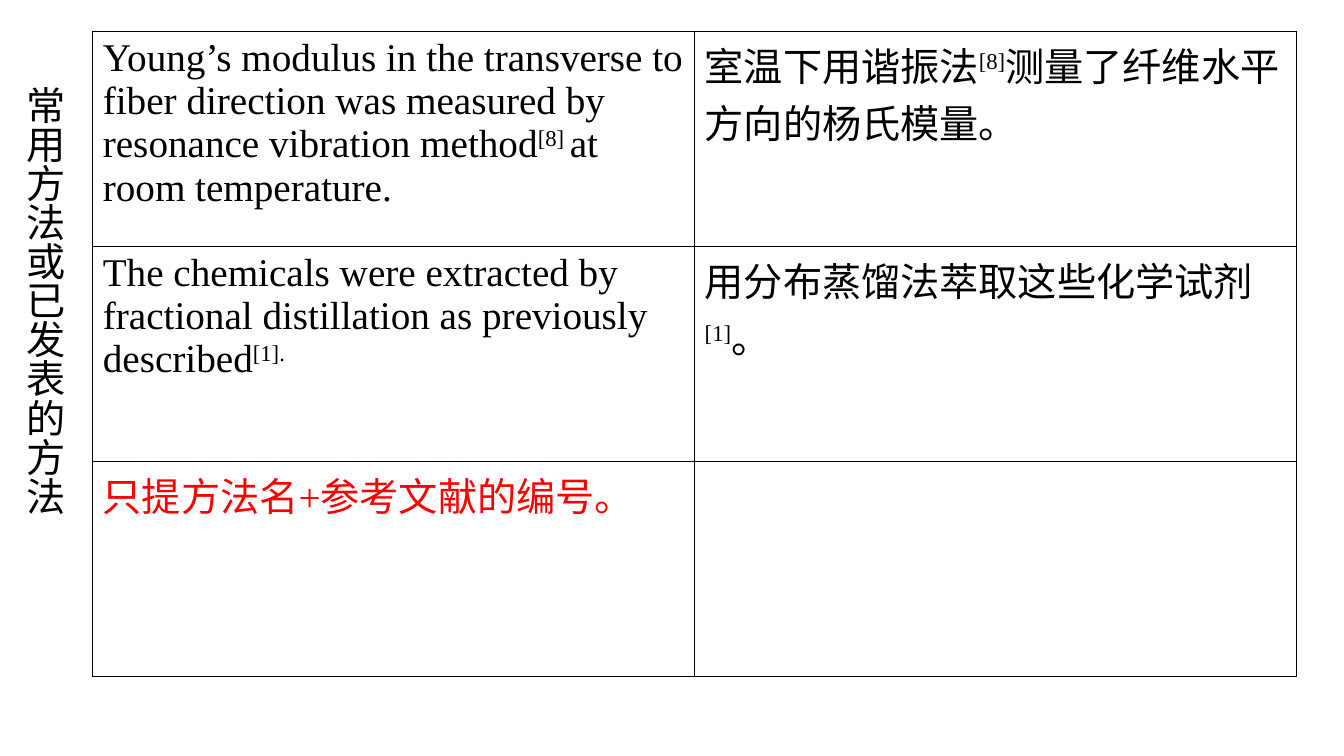
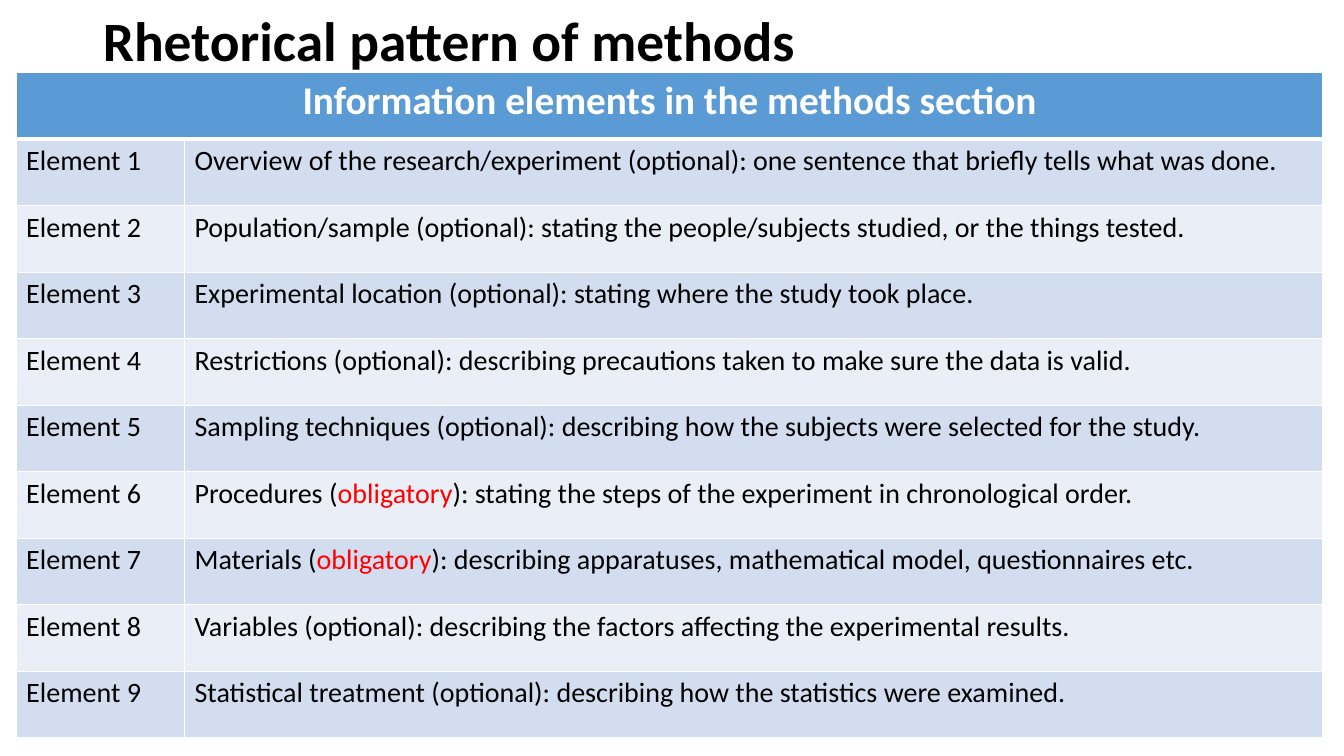
from dataclasses import dataclass

from lxml.etree import SubElement
from pptx import Presentation
from pptx.dml.color import RGBColor
from pptx.enum.text import MSO_ANCHOR as Anchor, PP_ALIGN as Align
from pptx.oxml.ns import qn
from pptx.util import Inches, Pt


@dataclass(frozen=True)
class Theme:
    ink: str = "000000"
    paper: str = "FFFFFF"
    accent: str = "FF0000"
    header: str = "5B9BD5"
    bands: tuple = ("D2DEEF", "EAEFF7")
    sans: str = "Calibri"
    serif: str = "Times New Roman"
    title_size: float = 39.6
    large: int = 28
    body: int = 20


theme = Theme()
SUPERSCRIPT, ACCENT = "superscript", "accent"


def write(paragraph, pieces, name, size, color=theme.ink, bold=False):
    """Fill a paragraph with plain strings and (text, style) pairs."""
    font = paragraph.font
    font.name, font.size, font.bold = name, Pt(size), bold
    font.color.rgb = RGBColor.from_string(color)
    for piece in pieces:
        text, style = (piece, None) if isinstance(piece, str) else piece
        run = paragraph.add_run()
        run.text = text
        if style == SUPERSCRIPT:
            run.font._element.set("baseline", "30000")
        elif style == ACCENT:
            run.font.color.rgb = RGBColor.from_string(theme.accent)


def style_cell(cell, fill, border, bottom=1):
    """Draw four borders (widths in points), then the fill."""
    properties = cell._tc.get_or_add_tcPr()
    for side, width in (("L", 1), ("R", 1), ("T", 1), ("B", bottom)):
        line = SubElement(properties, qn(f"a:ln{side}"), w=str(Pt(width)))
        solid = SubElement(line, qn("a:solidFill"))
        SubElement(solid, qn("a:srgbClr"), val=border)
    cell.fill.solid()
    cell.fill.fore_color.rgb = RGBColor.from_string(fill)


presentation = Presentation()
presentation.slide_width = Inches(13.33)
presentation.slide_height = Inches(7.5)
title_only, blank = presentation.slide_layouts[5], presentation.slide_layouts[6]

# Slide 1: citing established methods
slide = presentation.slides.add_slide(blank)
examples = [
    (["Young’s modulus in the transverse to fiber direction was measured by "
      "resonance vibration method", ("[8] ", SUPERSCRIPT), "at room temperature."],
     ["室温下用谐振法", ("[8]", SUPERSCRIPT), "测量了纤维水平方向的杨氏模量。"]),
    (["The chemicals were extracted by fractional distillation as previously "
      "described", ("[1].", SUPERSCRIPT)],
     ["用分布蒸馏法萃取这些化学试剂", ("[1]", SUPERSCRIPT), "。"]),
    ([("只提方法名+参考文献的编号。", ACCENT)], []),
]
table = slide.shapes.add_table(len(examples), 2, Inches(0.92), Inches(0.31),
                               Inches(11.94), Inches(6.4)).table
table.first_row = table.horz_banding = False
for row, example in enumerate(examples):
    for column, pieces in enumerate(example):
        cell = table.cell(row, column)
        style_cell(cell, theme.paper, theme.ink)
        write(cell.text_frame.paragraphs[0], pieces, theme.serif, theme.large)

side_label = slide.shapes.add_textbox(Inches(0.06), Inches(0.75),
                                      Inches(0.67), Inches(5.12))
frame = side_label.text_frame
frame.word_wrap = True
frame._txBody.bodyPr.set("vert", "eaVert")
write(frame.paragraphs[0], ["常用方法或已发表的方法"], theme.sans, theme.large)

# Slide 2: information elements
slide = presentation.slides.add_slide(title_only)
title = slide.shapes.title
title.left, title.top = Inches(0.92), Inches(0.15)
title.width, title.height = Inches(11.5), Inches(0.57)
title.text_frame.vertical_anchor = Anchor.MIDDLE
paragraph = title.text_frame.paragraphs[0]
paragraph.alignment, paragraph.line_spacing = Align.LEFT, 0.9
write(paragraph, ["Rhetorical pattern of methods"], theme.sans,
      theme.title_size, bold=True)

elements = [
    ["Overview of the research/experiment (optional): one sentence that briefly "
     "tells what was done."],
    ["Population/sample (optional): stating the people/subjects studied, or the "
     "things tested."],
    ["Experimental location (optional): stating where the study took place."],
    ["Restrictions (optional): describing precautions taken to make sure the data "
     "is valid."],
    ["Sampling techniques (optional): describing how the subjects were selected "
     "for the study."],
    ["Procedures (", ("obligatory", ACCENT),
     "): stating the steps of the experiment in chronological order."],
    ["Materials (", ("obligatory", ACCENT),
     "): describing apparatuses, mathematical model, questionnaires etc."],
    ["Variables (optional): describing the factors affecting the experimental "
     "results."],
    ["Statistical treatment (optional): describing how the statistics were "
     "examined."],
]
table = slide.shapes.add_table(len(elements) + 1, 2, Inches(0.16), Inches(0.72),
                               Inches(12.96), Inches(6.6)).table
table.columns[0].width, table.columns[1].width = Inches(1.67), Inches(11.29)

heading = table.cell(0, 0)
heading.merge(table.cell(0, 1))
for column in range(2):
    style_cell(table.cell(0, column), theme.header, theme.paper, bottom=3)
paragraph = heading.text_frame.paragraphs[0]
paragraph.alignment = Align.CENTER
write(paragraph, ["Information elements in the methods section"], theme.sans,
      theme.large, theme.paper, bold=True)

for row, description in enumerate(elements, start=1):
    for column, pieces in enumerate(([f"Element {row}"], description)):
        cell = table.cell(row, column)
        style_cell(cell, theme.bands[(row - 1) % 2], theme.paper)
        write(cell.text_frame.paragraphs[0], pieces, theme.sans, theme.body)

presentation.save("out.pptx")
